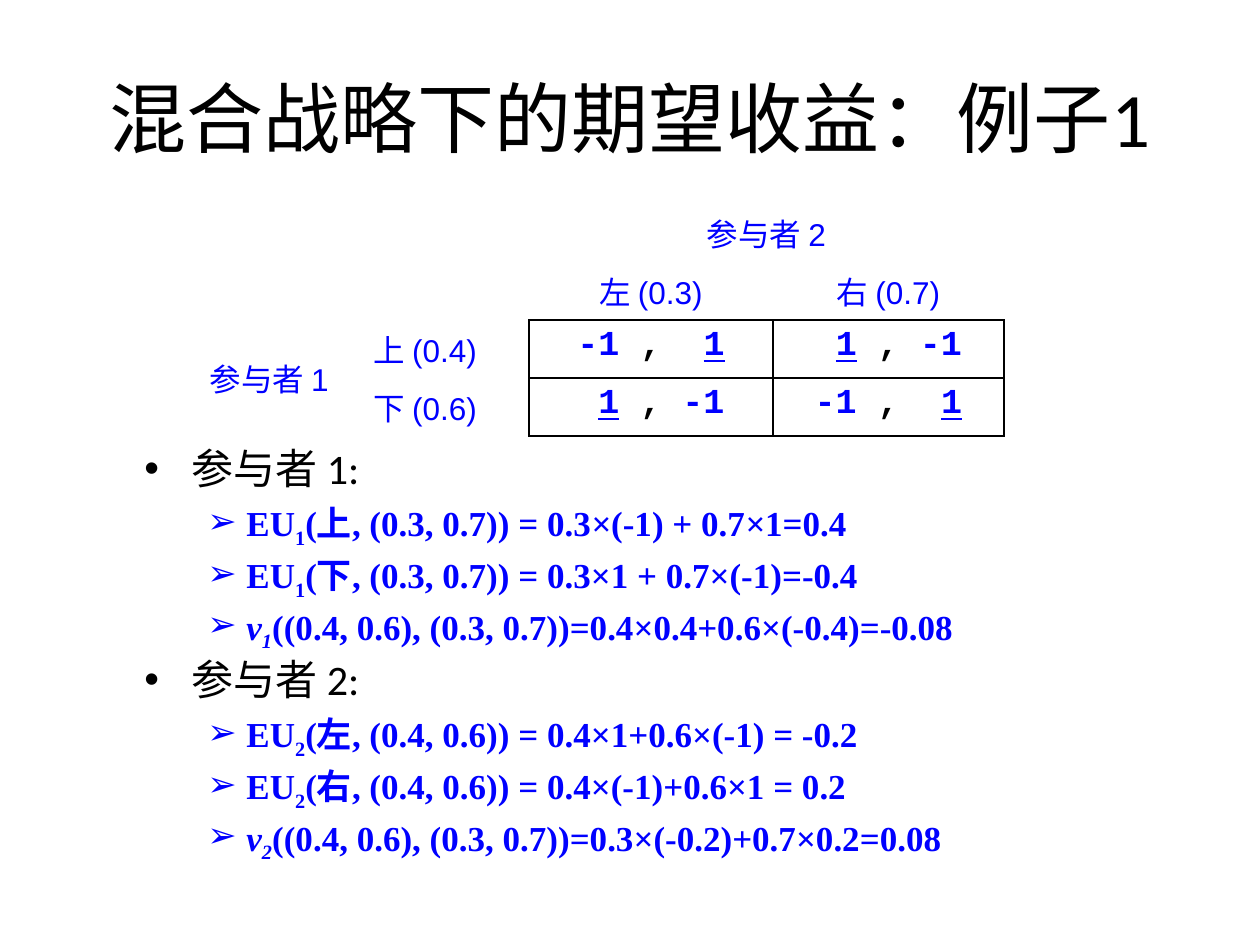
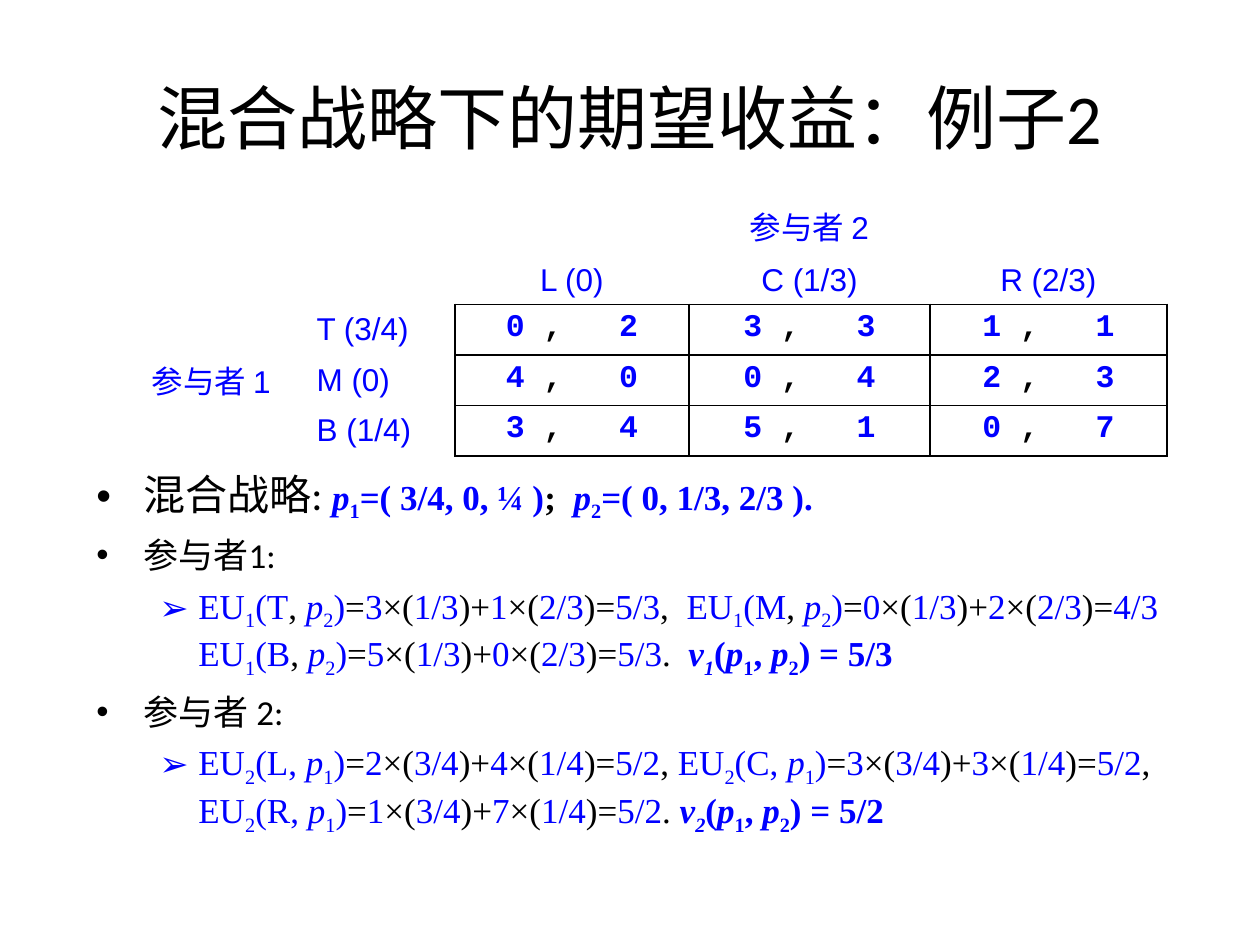
from collections import namedtuple
from itertools import groupby

from lxml.etree import SubElement
from pptx import Presentation
from pptx.dml.color import RGBColor
from pptx.enum.text import MSO_ANCHOR, PP_ALIGN
from pptx.oxml.ns import qn
from pptx.util import Emu, Pt

EMU_PER_PX = 914400 / 126
COLORS = {"ink": "000000", "accent": "0000FF"}
MARKS = "*~^_|\n"

Style = namedtuple("Style", "font size color bold")
Level = namedtuple("Level", "bullet margin hanging space_before")

HEADING = Style("Calibri", 24, "ink", False)
SMALL_HEADING = Style("Calibri", 20, "ink", False)
FORMULA = Style("Times New Roman", 20, "accent", False)
BOLD_FORMULA = FORMULA._replace(bold=True)
LABEL = Style("Arial", 18, "accent", False)
PAYOFF = Style("Courier New", 20, "accent", True)
SMALL_PAYOFF = PAYOFF._replace(size=18)

TOPIC = Level("•", 47, 47, 6)
DETAIL = Level("➢", 102, 39, 5)


def px(length):
    return Emu(round(length * EMU_PER_PX))


def color(name):
    return RGBColor.from_string(COLORS[name])


def apply_style(font, style):
    font.name = style.font
    font.size = Pt(style.size)
    font.bold = style.bold
    font.color.rgb = color(style.color)


def write_spans(para, markup, style=None):
    active = set()
    for is_mark, group in groupby(markup, key=lambda char: char in MARKS):
        if is_mark:
            for mark in group:
                if mark == "\n":
                    para.add_line_break()
                else:
                    active ^= {mark}
            continue
        span = para.add_run()
        span.text = "".join(group)
        if style:
            apply_style(span.font, style)
        if "*" in active:
            span.font.bold = True
        if "~" in active:
            span.font.italic = True
        if "^" in active:
            span.font.color.rgb = color("ink")
        if "|" in active:
            span.font.underline = True
        if "_" in active:
            span._r.get_or_add_rPr().set("baseline", "-25000")


def add_text_box(page, left, top, width, height):
    frame = page.shapes.add_textbox(px(left), px(top), px(width), px(height)).text_frame
    frame.word_wrap = True
    return frame


def add_title(page, text, size):
    frame = add_text_box(page, 63, 38, 1134, 157)
    frame.vertical_anchor = MSO_ANCHOR.MIDDLE
    para = frame.paragraphs[0]
    para.alignment = PP_ALIGN.CENTER
    apply_style(para.font, Style("Calibri", size, "ink", False))
    para.add_run().text = text


def set_bullet(para, level):
    properties = para._p.get_or_add_pPr()
    properties.set("marL", str(px(level.margin)))
    properties.set("indent", str(-px(level.hanging)))
    SubElement(properties, qn("a:buFont")).set("typeface", "Arial")
    SubElement(properties, qn("a:buChar")).set("char", level.bullet)


def add_bullets(page, area, items, line_spacing=1.0):
    frame = add_text_box(page, *area)
    for index, (level, style, markup) in enumerate(items):
        para = frame.add_paragraph() if index else frame.paragraphs[0]
        set_bullet(para, level)
        para.line_spacing = line_spacing
        para.space_before = Pt(level.space_before if index else 0)
        apply_style(para.font, style)
        write_spans(para, markup)
    return frame


def set_borders(cell, drawn):
    properties = cell._tc.get_or_add_tcPr()
    for side in "LRTB":
        line = SubElement(properties, qn(f"a:ln{side}"), w=str(Pt(1)))
        if side in drawn:
            fill = SubElement(line, qn("a:solidFill"))
            SubElement(fill, qn("a:srgbClr")).set("val", COLORS["ink"])
        else:
            SubElement(line, qn("a:noFill"))


def fill_cell(cell, markup, style, anchor, alignment=PP_ALIGN.CENTER):
    cell.vertical_anchor = anchor
    para = cell.text_frame.paragraphs[0]
    para.alignment = alignment
    apply_style(para.font, style)
    write_spans(para, markup)


def add_game(page, left, top, widths, heights, heading_columns, columns, rows, style):
    table = page.shapes.add_table(
        len(heights), len(widths), px(left), px(top), px(sum(widths)), px(sum(heights))
    ).table
    table.first_row = table.horz_banding = False
    for column, width in zip(table.columns, widths):
        column.width = px(width)
    for row, height in zip(table.rows, heights):
        row.height = px(height)

    for row in range(len(heights)):
        for column in range(len(widths)):
            cell = table.cell(row, column)
            if row > 1 and column > 1:
                set_borders(cell, "LRTB")
            elif row > 1 and column == 1:
                set_borders(cell, "R")
            elif row == 1 and column > 1:
                set_borders(cell, "B")
            else:
                set_borders(cell, "")
            cell.fill.background()

    first, last = heading_columns
    if first != last:
        table.cell(0, first).merge(table.cell(0, last))
    table.cell(2, 0).merge(table.cell(len(heights) - 1, 0))
    fill_cell(table.cell(0, first), "参与者 2", LABEL, MSO_ANCHOR.BOTTOM)
    fill_cell(table.cell(2, 0), "参与者 1", LABEL, MSO_ANCHOR.MIDDLE, PP_ALIGN.LEFT)
    for column, label in enumerate(columns, 2):
        fill_cell(table.cell(1, column), label, LABEL, MSO_ANCHOR.BOTTOM)
    for row, (label, payoffs) in enumerate(rows, 2):
        fill_cell(table.cell(row, 1), label, LABEL, MSO_ANCHOR.MIDDLE, PP_ALIGN.LEFT)
        for column, payoff in enumerate(payoffs, 2):
            fill_cell(table.cell(row, column), payoff, style, MSO_ANCHOR.TOP)


def expected_payoff(player, action, payoffs, result):
    rival = 3 - player
    comma, weights = {1: ("^, ^", ("1/3", "2/3")), 2: (", ", ("3/4", "1/4"))}[player]
    terms = "^)+^".join(f"{payoff}^×(^{weight}" for payoff, weight in zip(payoffs, weights))
    return f"EU_{player}_({action}{comma}~p~_{rival}_)^=^{terms}^)=^{result}"


def game_value(player, result):
    return f"*~v_{player}_~(~p~_1_, ~p~_2_) = {result}*"


def build_first_example(deck):
    page = deck.slides.add_slide(deck.slide_layouts[6])
    add_title(page, "混合战略下的期望收益：例子1", 44)
    lose_win = "-1 ^,  ^|1|"
    win_lose = " |1| ^, ^-1"
    add_bullets(page, (132, 442, 1026, 411), [
        (TOPIC, HEADING, "参与者 1:"),
        (DETAIL, BOLD_FORMULA, "EU_1_(上, (0.3, 0.7)) = 0.3~×~(-1) + 0.7~×~1=0.4"),
        (DETAIL, BOLD_FORMULA, "EU_1_(下, (0.3, 0.7)) = 0.3×1 + 0.7×(-1)=-0.4"),
        (DETAIL, BOLD_FORMULA, "~v_1_~((0.4, 0.6), (0.3, 0.7))=0.4×0.4+0.6×(-0.4)=-0.08"),
        (TOPIC, HEADING, "参与者 2:"),
        (DETAIL, BOLD_FORMULA, "EU_2_(左, (0.4, 0.6)) = 0.4×1+0.6×(-1) = -0.2"),
        (DETAIL, BOLD_FORMULA, "EU_2_(右, (0.4, 0.6)) = 0.4×(-1)+0.6×1 = 0.2"),
        (DETAIL, BOLD_FORMULA, "~v_2_~((0.4, 0.6), (0.3, 0.7))=0.3×(-0.2)+0.7×0.2=0.08"),
    ], line_spacing=0.9)
    add_game(
        page, 197, 204, [164, 168, 244, 231], [58] * 4, (2, 3),
        ["左 (0.3)", "右 (0.7)"],
        [("上 (0.4)", [lose_win, win_lose]), ("下 (0.6)", [win_lose, lose_win])],
        PAYOFF,
    )


def build_second_example(deck):
    page = deck.slides.add_slide(deck.slide_layouts[6])
    add_title(page, "混合战略下的期望收益：例子2", 40)
    first_player = (
        expected_payoff(1, "T", (3, 1), "5/3") + "^,  ^"
        + expected_payoff(1, "M", (0, 2), "4/3") + "\n"
        + expected_payoff(1, "B", (5, 0), "5/3") + "^.  ^" + game_value(1, "5/3")
    )
    second_player = (
        expected_payoff(2, "L", (2, 4), "5/2") + "^, ^"
        + expected_payoff(2, "C", (3, 3), "5/2") + "^,^\n"
        + expected_payoff(2, "R", (1, 7), "5/2") + "^. ^" + game_value(2, "5/2")
    )
    frame = add_bullets(page, (84, 462, 1091, 377), [
        (TOPIC, HEADING, "混合战略: "),
        (TOPIC, SMALL_HEADING, "参与者1:"),
        (DETAIL, FORMULA, first_player),
        (TOPIC, SMALL_HEADING, "参与者 2:"),
        (DETAIL, FORMULA, second_player),
    ])
    strategies = "~p~_1_=( 3/4, 0, ¼ )^;  ^~p~_2_=( 0, 1/3, 2/3 )."
    write_spans(frame.paragraphs[0], strategies, BOLD_FORMULA)

    payoffs = {
        "T (3/4)": [(0, 2), (3, 3), (1, 1)],
        "M (0)": [(4, 0), (0, 4), (2, 3)],
        "B (1/4)": [(3, 4), (5, 1), (0, 7)],
    }
    rows = [
        (label, [f"{mine}^ ,   ^{theirs}" for mine, theirs in pairs])
        for label, pairs in payoffs.items()
    ]
    add_game(
        page, 139, 197, [165, 151, 234, 241, 237], [57] + [48] * 4, (3, 3),
        ["L (0)", "C (1/3)", "R (2/3)"], rows, SMALL_PAYOFF,
    )


def main():
    deck = Presentation()
    deck.slide_width, deck.slide_height = px(1260), px(945)
    build_first_example(deck)
    build_second_example(deck)
    deck.save("out.pptx")


if __name__ == "__main__":
    main()
